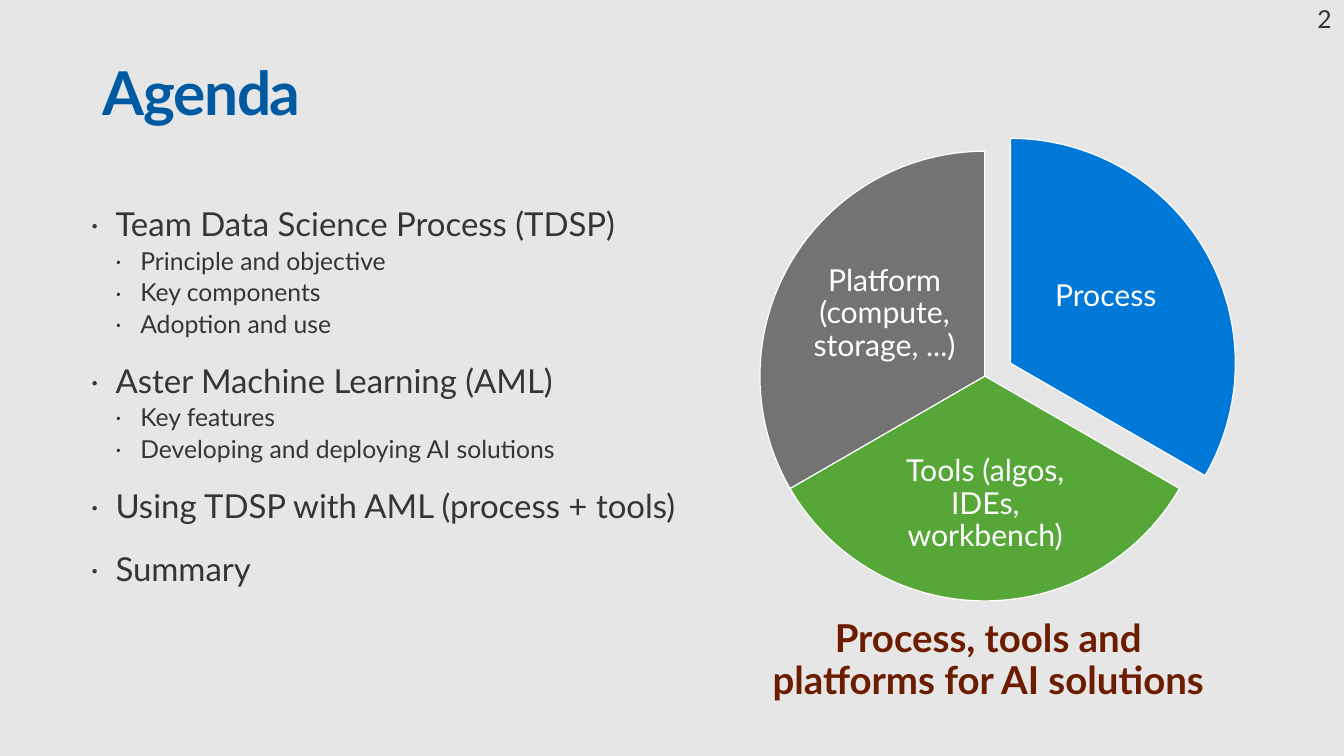
from lxml.etree import SubElement
from pptx import Presentation
from pptx.dml.color import RGBColor
from pptx.enum.shapes import MSO_SHAPE
from pptx.enum.text import MSO_ANCHOR, PP_ALIGN
from pptx.oxml.ns import qn
from pptx.util import Pt

COLORS = {
    "background": "E6E6E6", "title": "005AA1", "text": "353535", "white": "FFFFFF",
    "process": "0078D7", "tools": "57A738", "platform": "737373", "caption": "6C1D00",
}
FONT = "Lato"


def add_box(left, top, width, height, inset_x, inset_y, wrap=True):
    box = slide.shapes.add_textbox(Pt(left), Pt(top), Pt(width), Pt(height))
    frame = box.text_frame
    frame.word_wrap = wrap
    frame.margin_left = frame.margin_right = Pt(inset_x)
    frame.margin_top = frame.margin_bottom = Pt(inset_y)
    return frame


def write(paragraph, text, size, color, bold=False, align=PP_ALIGN.LEFT):
    paragraph.text = text
    paragraph.line_spacing = 0.9
    paragraph.alignment = align
    font = paragraph.font
    font.name, font.size, font.bold = FONT, Pt(size), bold
    font.color.rgb = RGBColor.from_string(COLORS[color])


deck = Presentation()
deck.slide_width, deck.slide_height = Pt(979.2), Pt(550.8)
slide = deck.slides.add_slide(deck.slide_layouts[6])
slide.background.fill.solid()
slide.background.fill.fore_color.rgb = RGBColor.from_string(COLORS["background"])

# Title
title = add_box(63.4, 38.9, 900, 72, 11.5, 7.2).paragraphs[0]
write(title, "Agenda", 44, "title", bold=True)
title.runs[0]._r.get_or_add_rPr().set("spc", "-100")

# Agenda: level, text, space before
agenda_items = [
    (0, "Team Data Science Process (TDSP)", 0),
    (1, "Principle and objective", 3.6),
    (1, "Key components", 3.6),
    (1, "Adoption and use", 3.6),
    (0, "Aster Machine Learning (AML)", 19),
    (1, "Key features", 3.6),
    (1, "Developing and deploying AI solutions", 3.6),
    (0, "Using TDSP with AML (process + tools)", 19),
    (0, "Summary", 20),
]
agenda = add_box(54.7, 144.7, 468, 301.7, 11.5, 7.2)
for index, (level, text, space_before) in enumerate(agenda_items):
    item = agenda.paragraphs[0] if index == 0 else agenda.add_paragraph()
    item.level = level
    item.space_before = Pt(space_before)
    properties = item._p.get_or_add_pPr()
    properties.set("marL", str(Pt(18 * (level + 1))))
    properties.set("indent", str(Pt(-18)))
    SubElement(properties, qn("a:buSzPct")).set("val", "90000")
    SubElement(properties, qn("a:buFont")).set("typeface", FONT)
    SubElement(properties, qn("a:buChar")).set("char", "·")
    write(item, text, 18 if level else 24, "text")

# Slide number
number = add_box(945.4, -4.3, 38.9, 43.2, 14.4, 11.5, wrap=False)
write(number.paragraphs[0], "2", 18, "text")

# Pie: three equal sectors clockwise from the top, the first pulled out
PIE_LEFT, PIE_TOP, PIE_SIZE = 553.7, 110.2, 327.6
sectors = [
    ("process", "Process", (18.7, -9.4), (750.2, 161.3, 110.9, 109.4)),
    ("tools", "Tools (algos, IDEs, workbench)", (0, 0), (643.7, 316.8, 148.3, 101.5)),
    ("platform", "Platform (compute, storage, ...)", (0, 0), (589, 174.2, 110.9, 109.4)),
]
for index, (color, text, (shift_x, shift_y), label_place) in enumerate(sectors):
    sector = slide.shapes.add_shape(
        MSO_SHAPE.PIE, Pt(PIE_LEFT + shift_x), Pt(PIE_TOP + shift_y), Pt(PIE_SIZE), Pt(PIE_SIZE))
    start = (270 + 120 * index) % 360
    end = (start + 120) % 360
    # One adjustment unit is 100000/60000 of a degree
    sector.adjustments[0], sector.adjustments[1] = start * 0.6, end * 0.6
    sector.shadow.inherit = False
    sector.fill.solid()
    sector.fill.fore_color.rgb = RGBColor.from_string(COLORS[color])
    sector.line.color.rgb = RGBColor.from_string(COLORS["white"])
    sector.line.width = Pt(0.85)

    label = add_box(*label_place, 2.2, 2.2)
    label.vertical_anchor = MSO_ANCHOR.MIDDLE
    write(label.paragraphs[0], text, 22, "white", align=PP_ALIGN.CENTER)

# Caption under the pie
caption = add_box(542.9, 439.9, 354.2, 84.2, 14.4, 11.5)
write(caption.paragraphs[0], "Process, tools and platforms for AI solutions", 28, "caption",
      bold=True, align=PP_ALIGN.CENTER)

deck.save("out.pptx")
